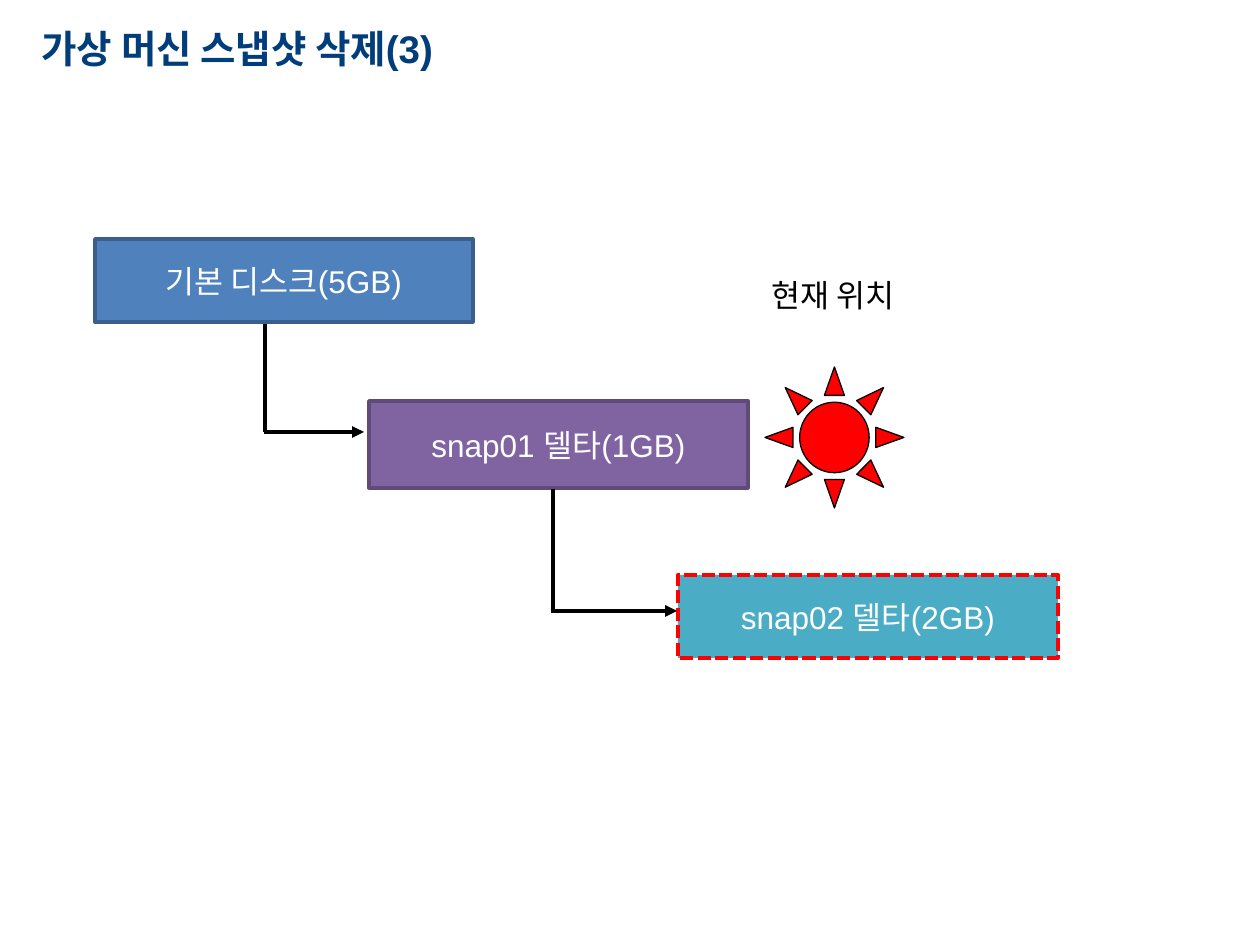
from lxml import etree
from pptx import Presentation
from pptx.dml.color import RGBColor
from pptx.enum.dml import MSO_LINE
from pptx.enum.shapes import MSO_CONNECTOR, MSO_SHAPE
from pptx.enum.text import MSO_ANCHOR, PP_ALIGN
from pptx.oxml.ns import qn
from pptx.util import Emu, Pt

RECT, SUN = MSO_SHAPE.RECTANGLE, MSO_SHAPE.SUN
LINE = MSO_CONNECTOR.STRAIGHT
DASH = MSO_LINE.SQUARE_DOT
MID = MSO_ANCHOR.MIDDLE
LEFT, CENTER = PP_ALIGN.LEFT, PP_ALIGN.CENTER

SCALE = 914400 // 126
FONT = "Arial"
HUES = {
    "navy": "003D7A",
    "blue": "4F81BD",
    "steel": "3A5F8C",
    "purple": "8064A2",
    "plum": "5F4A78",
    "teal": "4BACC6",
    "red": "FF0000",
    "black": "000000",
    "white": "FFFFFF",
}


def px(*nums):
    return [Emu(num * SCALE) for num in nums]


def hue(name):
    return RGBColor.from_string(HUES[name])


def write(shape, text, size, tint, align=CENTER, bold=False):
    para = shape.text_frame.paragraphs[0]
    para.alignment = align
    run = para.add_run()
    run.text = text
    font = run.font
    font.name, font.size, font.bold = FONT, Pt(size), bold
    font.color.rgb = hue(tint)


def add_title(slide, text):
    title = slide.shapes.title
    title.left, title.top, title.width, title.height = px(29, 18, 1172, 60)
    title.text_frame.vertical_anchor = MID
    write(title, text, 22, "navy", LEFT, True)


def add_form(slide, kind, area, fill, edge, width):
    form = slide.shapes.add_shape(kind, *px(*area))
    form.shadow.inherit = False
    form.fill.solid()
    form.fill.fore_color.rgb = hue(fill)
    form.line.color.rgb = hue(edge)
    form.line.width = Pt(width)
    return form


def add_disk(slide, area, text, fill, edge, width=2):
    disk = add_form(slide, RECT, area, fill, edge, width)
    disk.text_frame.word_wrap = False
    disk.text_frame.vertical_anchor = MID
    write(disk, text, 18, "white")
    return disk


def add_label(slide, area, text):
    label = slide.shapes.add_textbox(*px(*area))
    label.text_frame.word_wrap = False
    write(label, text, 18, "black")


def add_line(slide, start, end, arrow=False):
    line = slide.shapes.add_connector(LINE, *px(*start, *end))
    line.line.color.rgb = hue("black")
    line.line.width = Pt(2.25)
    if arrow:
        tail = etree.SubElement(line.line._get_or_add_ln(), qn("a:tailEnd"))
        tail.set("type", "triangle")
    etree.SubElement(line._element.spPr, qn("a:effectLst"))


def add_elbow(slide, x, top, y, right, lap):
    add_line(slide, (x, top), (x, y))
    add_line(slide, (x - lap, y), (right, y), True)


def main():
    deck = Presentation()
    deck.slide_width, deck.slide_height = px(1260, 945)
    slide = deck.slides.add_slide(deck.slide_layouts[5])
    add_title(slide, "가상 머신 스냅샷 삭제(3)")
    add_disk(slide, (95, 239, 378, 83), "기본 디스크(5GB)", "blue", "steel")
    add_elbow(slide, 265, 324, 432, 364, 1)
    add_disk(slide, (369, 401, 379, 87), "snap01 델타(1GB)", "purple", "plum")
    add_form(slide, SUN, (765, 367, 139, 141), "red", "black", 0.75)
    add_label(slide, (753, 270, 161, 50), "현재 위치")
    last = add_disk(slide, (678, 575, 380, 83), "snap02 델타(2GB)", "teal", "red", 2.5)
    last.line.dash_style = DASH
    add_elbow(slide, 553, 489, 611, 677, 2)
    deck.save("out.pptx")


if __name__ == "__main__":
    main()
